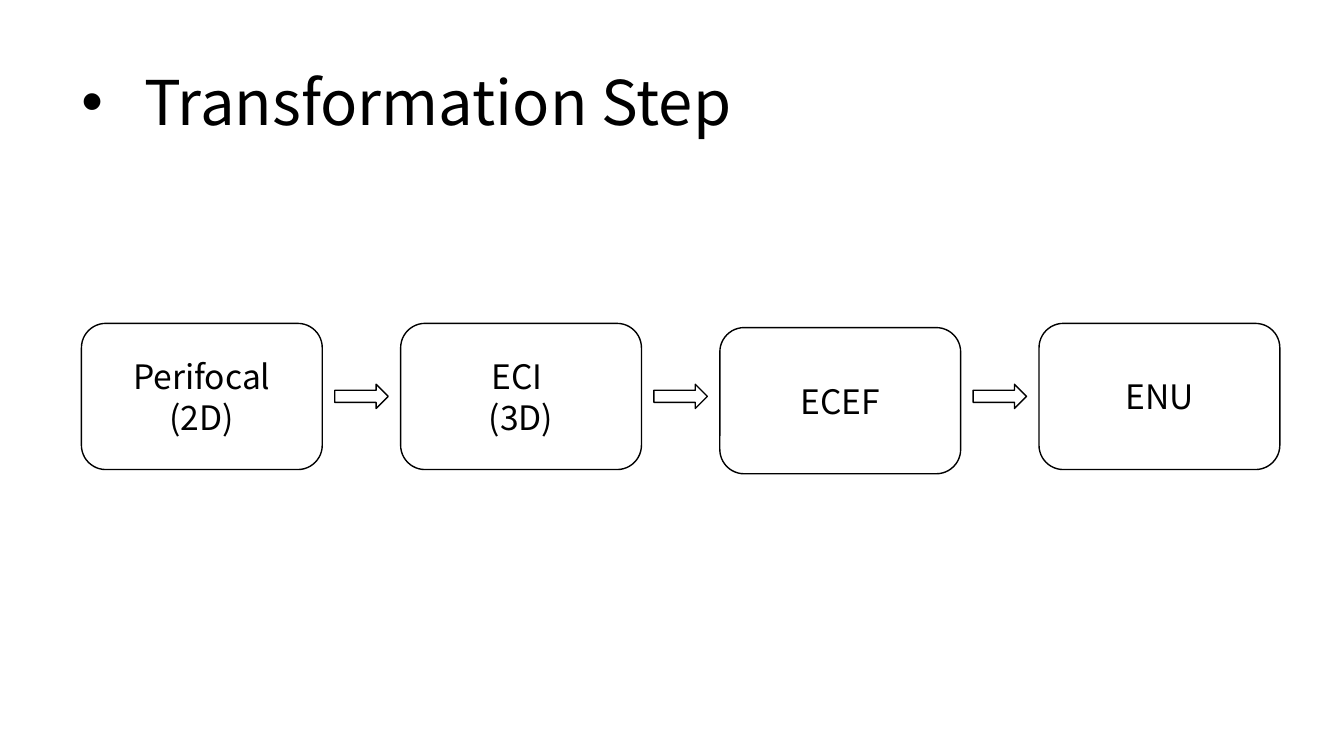
from lxml import etree
from pptx import Presentation
from pptx.dml.color import RGBColor
from pptx.enum.shapes import MSO_SHAPE
from pptx.enum.text import MSO_ANCHOR, PP_ALIGN
from pptx.oxml.ns import qn
from pptx.util import Pt

ROUNDED_BOX = MSO_SHAPE.ROUNDED_RECTANGLE
RIGHT_ARROW = MSO_SHAPE.RIGHT_ARROW
MIDDLE = MSO_ANCHOR.MIDDLE
CENTER = PP_ALIGN.CENTER


def color(hex_value):
    return RGBColor.from_string(hex_value)


class FlowSlide:
    font_name = "Noto Sans CJK KR"
    ink = "000000"
    paper = "FFFFFF"
    title_size = 44
    step_size = 24
    line_width = 1

    def __init__(self, presentation):
        self.slide = presentation.slides.add_slide(presentation.slide_layouts[6])

    def set_text(self, text_frame, text, size):
        text_frame.word_wrap = True
        text_frame.vertical_anchor = MIDDLE
        text_frame.text = text
        for paragraph in text_frame.paragraphs:
            for run in paragraph.runs:
                run.font.name = self.font_name
                run.font.size = Pt(size)
                run.font.color.rgb = color(self.ink)

    def title(self, text, left, top, width, height, indent):
        box = self.slide.shapes.add_textbox(Pt(left), Pt(top), Pt(width), Pt(height))
        self.set_text(box.text_frame, text, self.title_size)
        paragraph = box.text_frame.paragraphs[0]
        paragraph.line_spacing = 0.9
        properties = paragraph._p.get_or_add_pPr()
        properties.set("marL", str(Pt(indent)))
        properties.set("indent", str(-Pt(indent)))
        etree.SubElement(properties, qn("a:buFont"), typeface="Arial")
        etree.SubElement(properties, qn("a:buChar"), char="•")

    def outlined(self, kind, left, top, width, height):
        shape = self.slide.shapes.add_shape(
            kind, Pt(left), Pt(top), Pt(width), Pt(height)
        )
        shape.shadow.inherit = False
        shape.fill.solid()
        shape.fill.fore_color.rgb = color(self.paper)
        shape.line.color.rgb = color(self.ink)
        shape.line.width = Pt(self.line_width)
        return shape

    def step(self, text, left, top, width, height):
        shape = self.outlined(ROUNDED_BOX, left, top, width, height)
        self.set_text(shape.text_frame, text, self.step_size)
        for paragraph in shape.text_frame.paragraphs:
            paragraph.alignment = CENTER

    def arrow(self, left, top, width, height):
        self.outlined(RIGHT_ARROW, left, top, width, height)


def main():
    presentation = Presentation()
    presentation.slide_width = Pt(960)
    presentation.slide_height = Pt(540)

    flow = FlowSlide(presentation)
    flow.title("Transformation Step", 51, 23, 828, 104.4, 45)

    first_left, pitch = 58.2, 228
    box_width, box_height = 172, 104.4
    arrow_width, arrow_height = 38.2, 17.3
    arrow_offset = box_width + (pitch - box_width - arrow_width) / 2
    steps = [
        ("Perifocal\n(2D)", 231),
        ("ECI \n(3D)", 231),
        ("ECEF", 234),
        ("ENU", 231),
    ]
    for index, (text, top) in enumerate(steps):
        flow.step(text, first_left + index * pitch, top, box_width, box_height)
    for index in range(len(steps) - 1):
        left = first_left + index * pitch + arrow_offset
        flow.arrow(left, 274.5, arrow_width, arrow_height)

    presentation.save("out.pptx")


if __name__ == "__main__":
    main()
